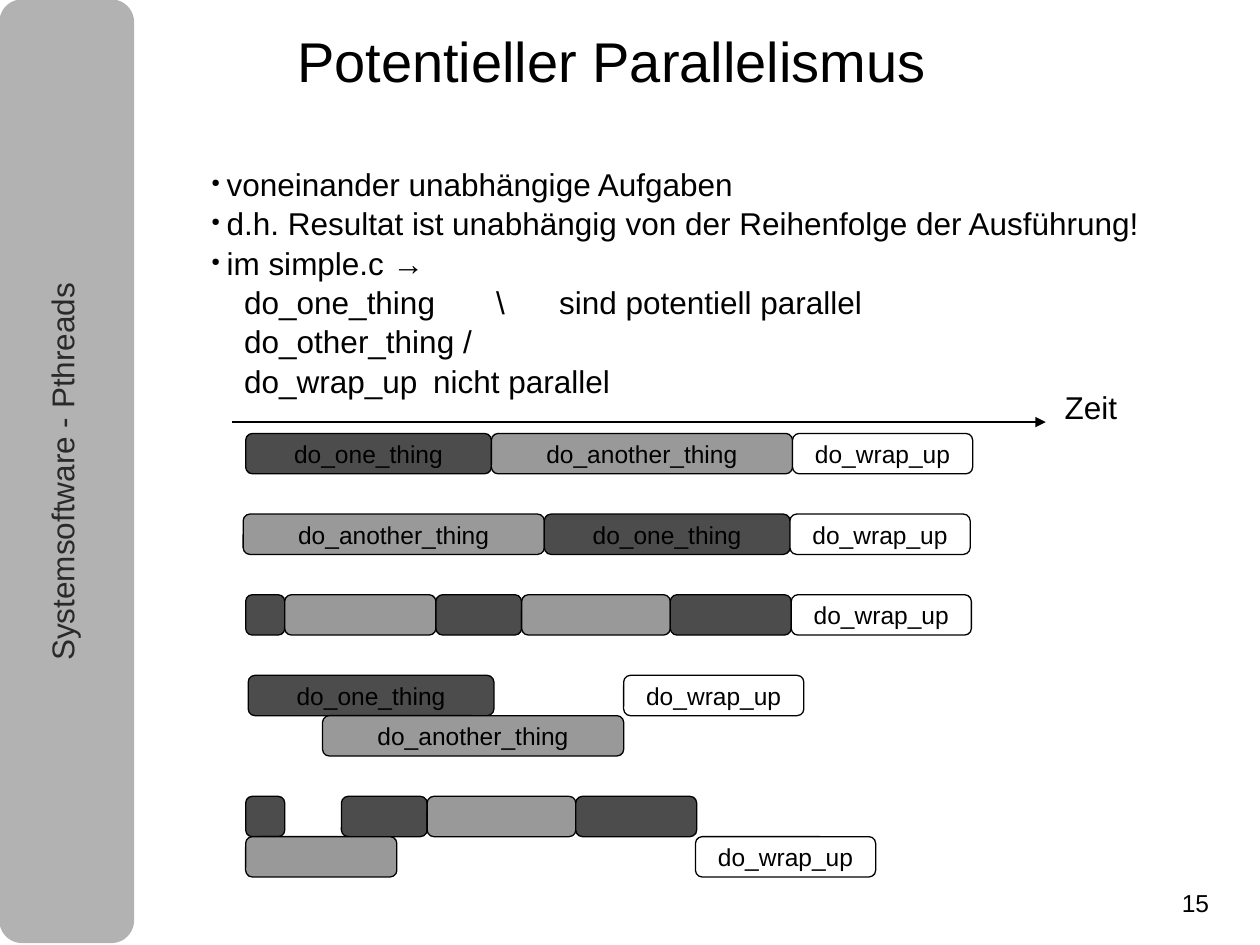
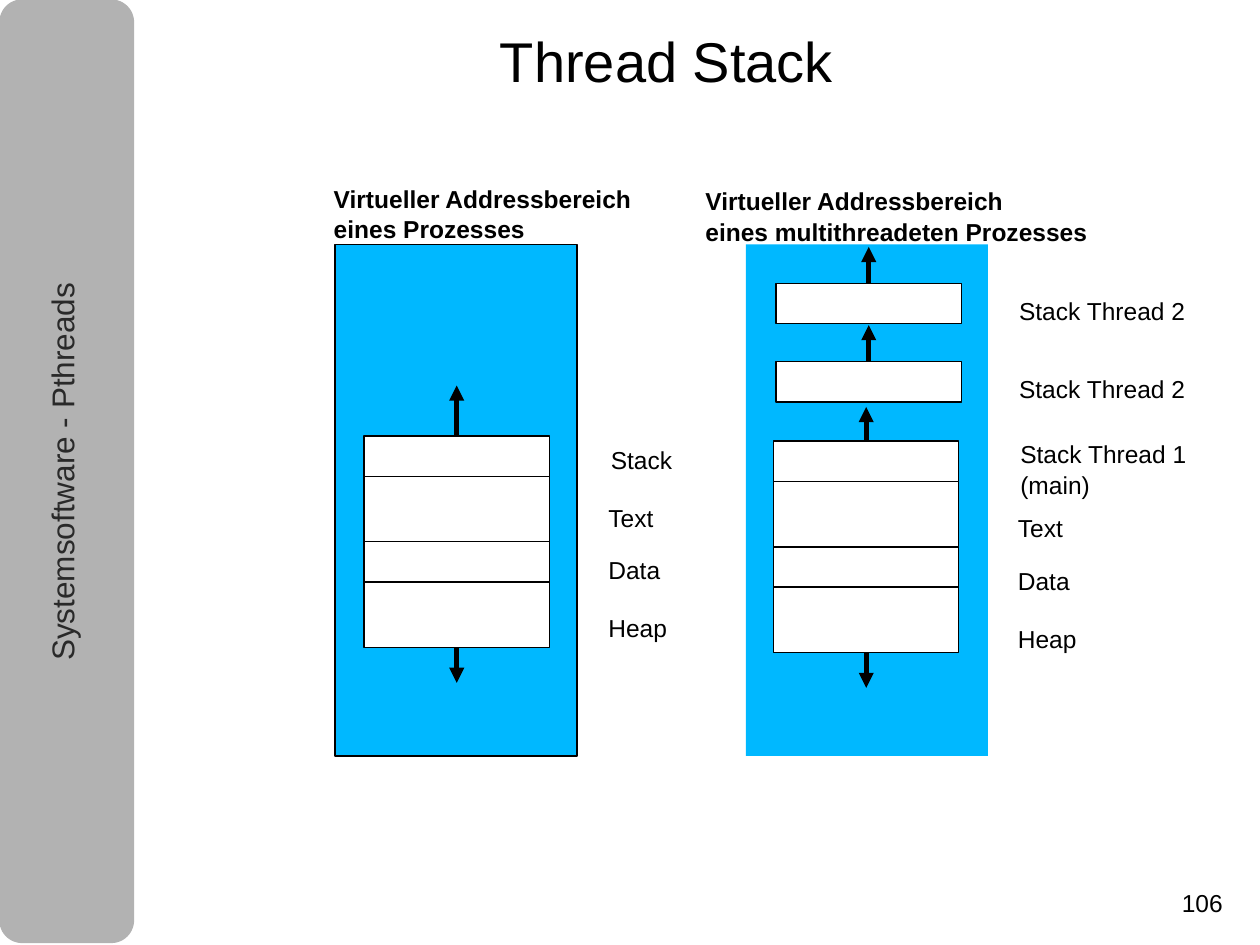
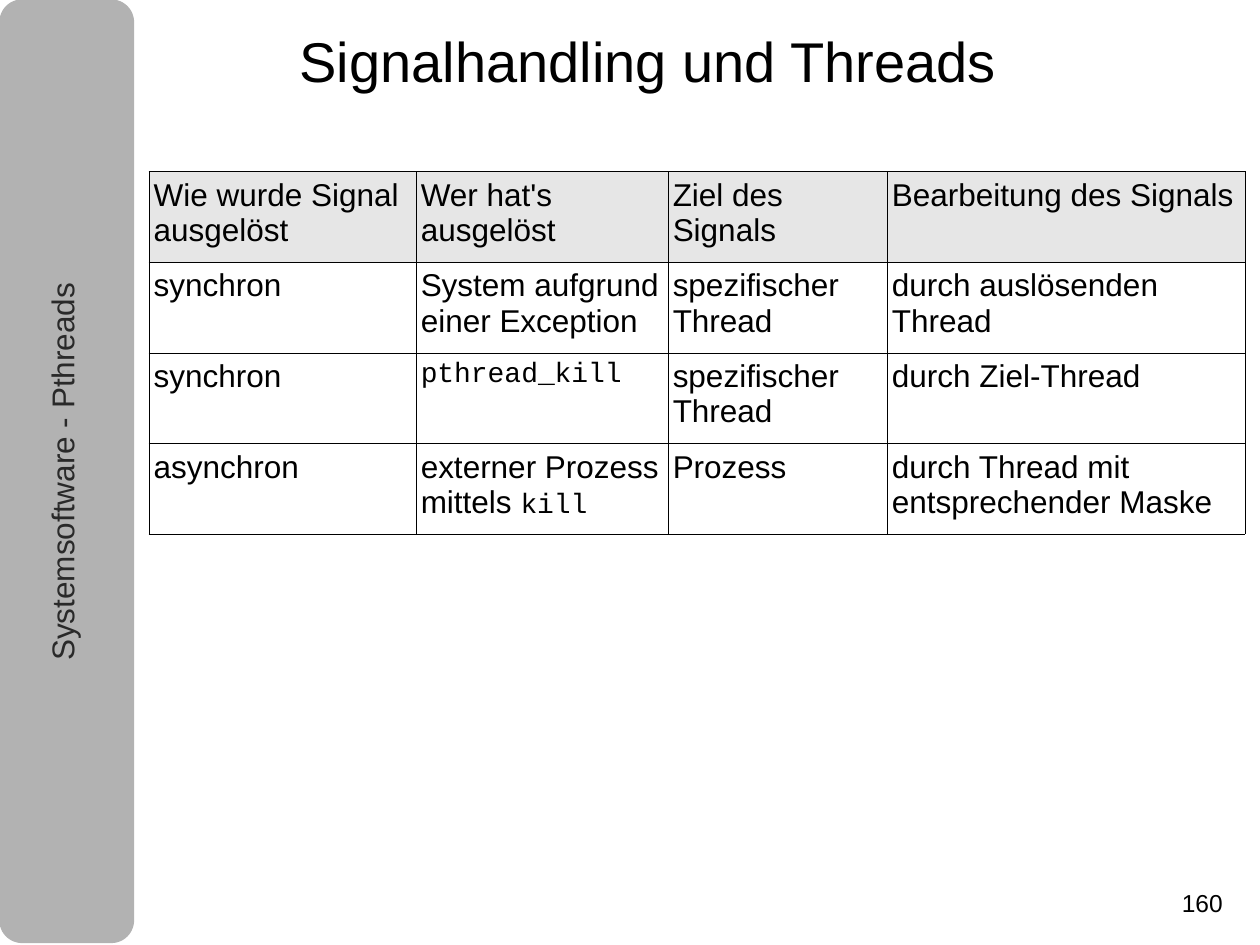
import pptx
import pptx.util
import pptx.dml.color
import pptx.enum.shapes
import pptx.enum.text
import pptx.oxml
import pptx.oxml.ns
import lxml.etree

Inches, Pt = pptx.util.Inches, pptx.util.Pt
color = pptx.dml.color.RGBColor.from_string
SHAPES = pptx.enum.shapes.MSO_SHAPE
CENTER = pptx.enum.text.PP_ALIGN.CENTER
MIDDLE = pptx.enum.text.MSO_ANCHOR.MIDDLE
qn = pptx.oxml.ns.qn

# Shared look
FONT, CODE_FONT = "Arial", "Courier New"
BLACK, WHITE, BAND, BAND_TEXT = "000000", "FFFFFF", "B2B2B2", "292929"
DARK, MID, MEMORY, HEADER = "4C4C4C", "999999", "00B8FF", "E6E6E6"
BAND_WIDTH, BAND_HEIGHT = 1.06, 7.48

deck = pptx.Presentation()
deck.slide_width, deck.slide_height = Inches(10), Inches(7.5)


def draw_box(slide, kind, left, top, width, height, fill, line=None, weight=0.75, text=""):
    box = slide.shapes.add_shape(kind, Inches(left), Inches(top), Inches(width), Inches(height))
    box.shadow.inherit = False
    box.fill.solid()
    box.fill.fore_color.rgb = color(fill)
    if line:
        box.line.color.rgb = color(line)
        box.line.width = Pt(weight)
    else:
        box.line.fill.background()
    if text:
        frame = box.text_frame
        frame.margin_left = frame.margin_right = frame.margin_top = frame.margin_bottom = 0
        frame.text = text
        frame.vertical_anchor = MIDDLE
        paragraph = frame.paragraphs[0]
        paragraph.alignment = CENTER
        paragraph.font.name, paragraph.font.size = FONT, Pt(14)
        paragraph.font.color.rgb = color(BLACK)
    return box


def write(slide, left, top, width, height, text, size=14, bold=False, ink=BLACK, inset=True, spacing=None):
    label = slide.shapes.add_textbox(Inches(left), Inches(top), Inches(width), Inches(height))
    frame = label.text_frame
    frame.word_wrap = True
    if not inset:
        frame.margin_left = frame.margin_right = frame.margin_top = frame.margin_bottom = 0
    frame.text = text
    for paragraph in frame.paragraphs:
        paragraph.font.name, paragraph.font.size = FONT, Pt(size)
        paragraph.font.bold = bold
        paragraph.font.color.rgb = color(ink)
        if spacing:
            paragraph.line_spacing = spacing
    return label


# Side band, title and page number on every slide
slides = []
for title, title_left, title_width, number in [
    ("Potentieller Parallelismus", 2.26, 5.83, "15"),
    ("Thread Stack", 3.87, 3.14, "106"),
    ("Signalhandling und Threads", 2.28, 6.42, "160"),
]:
    slide = deck.slides.add_slide(deck.slide_layouts[6])
    band = draw_box(slide, SHAPES.ROUNDED_RECTANGLE, 0, 0, BAND_WIDTH, BAND_HEIGHT, BAND, BAND)
    course = write(slide, -3.18, 3.5, BAND_HEIGHT, 0.49, "Systemsoftware - Pthreads", 18, ink=BAND_TEXT, spacing=0.94)
    course.rotation = 270
    course.text_frame.paragraphs[0].alignment = CENTER
    course.text_frame.paragraphs[0].space_before = Pt(12.9)
    heading = write(slide, title_left, 0.19, title_width, 0.63, title, 32, spacing=0.93)
    heading.text_frame.vertical_anchor = MIDDLE
    write(slide, 9.38, 7.05, 1.09, 0.32, number, inset=False)
    slides.append(slide)
parallelism, stacks, signals = slides

# Slide 1: bullets, then task lines with tab stops
points = [
    ("voneinander unabhängige Aufgaben", None),
    ("d.h. Resultat ist unabhängig von der Reihenfolge der Ausführung!", None),
    ("im simple.c →", None),
    ("do_one_thing\t\\\tsind potentiell parallel", [1.99, 3]),
    ("do_other_thing /", []),
    ("do_wrap_up\tnicht parallel", [2.42]),
]
body = write(parallelism, 1.58, 1.25, 8.06, 2.1, "\n".join(text for text, _ in points), 18, spacing=1.04)
for paragraph, (_, stops) in zip(body.text_frame.paragraphs, points):
    props = paragraph._p.get_or_add_pPr()
    if stops is None:
        props.set("marL", str(Inches(0.12)))
        props.set("indent", str(Inches(-0.12)))
        lxml.etree.SubElement(props, qn("a:buSzPct"), val="35000")
        lxml.etree.SubElement(props, qn("a:buChar"), char="●")
    else:
        props.set("marL", str(Inches(0.26)))
        props.set("indent", "0")
        tabs = lxml.etree.SubElement(props, qn("a:tabLst"))
        for stop in stops:
            lxml.etree.SubElement(tabs, qn("a:tab"), pos=str(Inches(stop)), algn="l")
    # The defaults for runs come after bullets and tabs
    props.append(props.find(qn("a:defRPr")))

# Slide 1: schedules along the time axis
write(parallelism, 8.45, 3.08, 0.54, 0.37, "Zeit", 18, inset=False)
tasks = {
    "one": (DARK, 1.95, "do_one_thing"),
    "another": (MID, 2.39, "do_another_thing"),
    "wrap": (WHITE, 1.43, "do_wrap_up"),
    "one a": (DARK, 0.31, ""),
    "one b": (DARK, 0.68, ""),
    "one c": (DARK, 0.96, ""),
    "another a": (MID, 1.2, ""),
    "another b": (MID, 1.18, ""),
}
LANE = 0.32
for lane, left, sequence in [
    (0, 1.95, ["one", "another", "wrap"]),
    (2, 1.93, ["another", "one", "wrap"]),
    (4, 1.95, ["one a", "another a", "one b", "another b", "one c", "wrap"]),
    (6, 1.97, ["one"]),
    (6, 4.95, ["wrap"]),
    (7, 2.56, ["another"]),
    (9, 1.95, ["one a"]),
    (9, 2.71, ["one b", "another b", "one c"]),
    (10, 1.95, ["another a"]),
    (10, 5.52, ["wrap"]),
]:
    for task in sequence:
        fill, width, name = tasks[task]
        draw_box(parallelism, SHAPES.ROUNDED_RECTANGLE, left, 3.44 + lane * LANE, width, LANE, fill, BLACK, text=name)
        left += width

# Arrows: slide, box and side they start from, start, end, weight
arrows = [(parallelism, None, None, (1.84, 3.35), (8.3, 3.35), 0.75)]

# Slide 2: address spaces with their segments
SEGMENT_WIDTH, SHORT, TALL = 1.47, 0.32, 0.52
segments = [("Text", TALL, 0.48), ("Data", SHORT, 0.9), ("Heap", TALL, 1.36)]
for space_left, outline, left, top, label_left, label_top, stack_label, stack_top, tip in [
    (2.66, BLACK, 2.89, 3.46, 4.73, 3.46, "Stack", 3.47, 3.06),
    (5.92, None, 6.14, 3.5, 7.98, 3.54, "Stack Thread 1\n(main)", 3.43, 3.23),
]:
    draw_box(stacks, SHAPES.RECTANGLE, space_left, 1.94, 1.92, 4.06, MEMORY, outline, 0)
    middle = left + SEGMENT_WIDTH / 2
    stack = draw_box(stacks, SHAPES.RECTANGLE, left, top, SEGMENT_WIDTH, SHORT, WHITE, BLACK, 0)
    write(stacks, label_left + 0.02, stack_top, 1.9, 0.33, stack_label, spacing=1.04)
    arrows.append((stacks, stack, 0, (middle, top), (middle, tip), 2.89))
    bottom = top + SHORT
    for name, height, offset in segments:
        segment = draw_box(stacks, SHAPES.RECTANGLE, left, bottom, SEGMENT_WIDTH, height, WHITE, BLACK, 0)
        write(stacks, label_left, label_top + offset, 0.75, 0.33, name)
        bottom += height
    arrows.append((stacks, segment, 2, (middle, bottom), (middle, bottom + 0.28), 2.89))

# Slide 2: stacks of the further threads
for top in (2.25, 2.87):
    thread = draw_box(stacks, SHAPES.RECTANGLE, 6.16, top, SEGMENT_WIDTH, SHORT, WHITE, BLACK, 0)
    write(stacks, 7.99, top + 0.05, 1.67, 0.33, "Stack Thread 2")
    middle = 6.16 + SEGMENT_WIDTH / 2
    arrows.append((stacks, thread, 0, (middle, top), (middle, top - 0.29), 2.89))

for left, top, width, caption in [
    (2.55, 1.4, 3.02, "Virtueller Addressbereich\neines Prozesses"),
    (5.5, 1.42, 3.82, "Virtueller Addressbereich\neines multithreadeten Prozesses"),
]:
    write(stacks, left, top, width, 0.56, caption, bold=True, spacing=1.04)

# Draw all arrows
for slide, source, side, start, end, weight in arrows:
    arrow = slide.shapes.add_connector(
        pptx.enum.shapes.MSO_CONNECTOR.STRAIGHT, *(Inches(value) for value in start + end))
    if source is not None:
        arrow.begin_connect(source, side)
    arrow.line.color.rgb = color(BLACK)
    arrow.line.width = Pt(weight)
    lxml.etree.SubElement(arrow.line._get_or_add_ln(), qn("a:tailEnd"), type="triangle")
    lxml.etree.SubElement(arrow._element.spPr, qn("a:effectLst"))

# Slide 3: table of signals
rows = [
    ["Wie wurde Signal ausgelöst", "Wer hat's ausgelöst", "Ziel des Signals", "Bearbeitung des Signals"],
    ["synchron", "System aufgrund einer Exception", "spezifischer Thread", "durch auslösenden Thread"],
    ["synchron", "pthread_kill", "spezifischer Thread", "durch Ziel-Thread"],
    ["asynchron", "externer Prozess mittels kill", "Prozess", "durch Thread mit entsprechender Maske"],
]
widths = [2.12, 2, 1.74, 2.84]
ROW_HEIGHT = 0.72
table = signals.shapes.add_table(
    len(rows), len(widths), Inches(1.18), Inches(1.36), Inches(sum(widths)), Inches(ROW_HEIGHT * len(rows))).table
table.first_row = table.horz_banding = False
for column, width in zip(table.columns, widths):
    column.width = Inches(width)
for r, texts in enumerate(rows):
    table.rows[r].height = Inches(ROW_HEIGHT)
    for c, text in enumerate(texts):
        cell = table.cell(r, c)
        cell.margin_left = cell.margin_right = Inches(0.04)
        cell.margin_top = cell.margin_bottom = Inches(0.05)
        paragraph = cell.text_frame.paragraphs[0]
        # Function names ending in "kill" are set as code
        prose, code = text, ""
        if text.endswith("kill"):
            prose, gap, code = text.rpartition(" ")
            prose += gap
        for part, font, size in [(prose, FONT, 18), (code, CODE_FONT, 16)]:
            if part:
                run = paragraph.add_run()
                run.text = part
                run.font.name, run.font.size = font, Pt(size)
                run.font.color.rgb = color(BLACK)
        props = cell._tc.get_or_add_tcPr()
        for edge in ("a:lnL", "a:lnR", "a:lnT", "a:lnB"):
            border = lxml.etree.SubElement(props, qn(edge), w=str(Pt(0.06)))
            ink = lxml.etree.SubElement(border, qn("a:solidFill"))
            lxml.etree.SubElement(ink, qn("a:srgbClr"), val=BLACK)
        if r == 0:
            cell.fill.solid()
            cell.fill.fore_color.rgb = color(HEADER)
        else:
            cell.fill.background()

deck.save("out.pptx")
